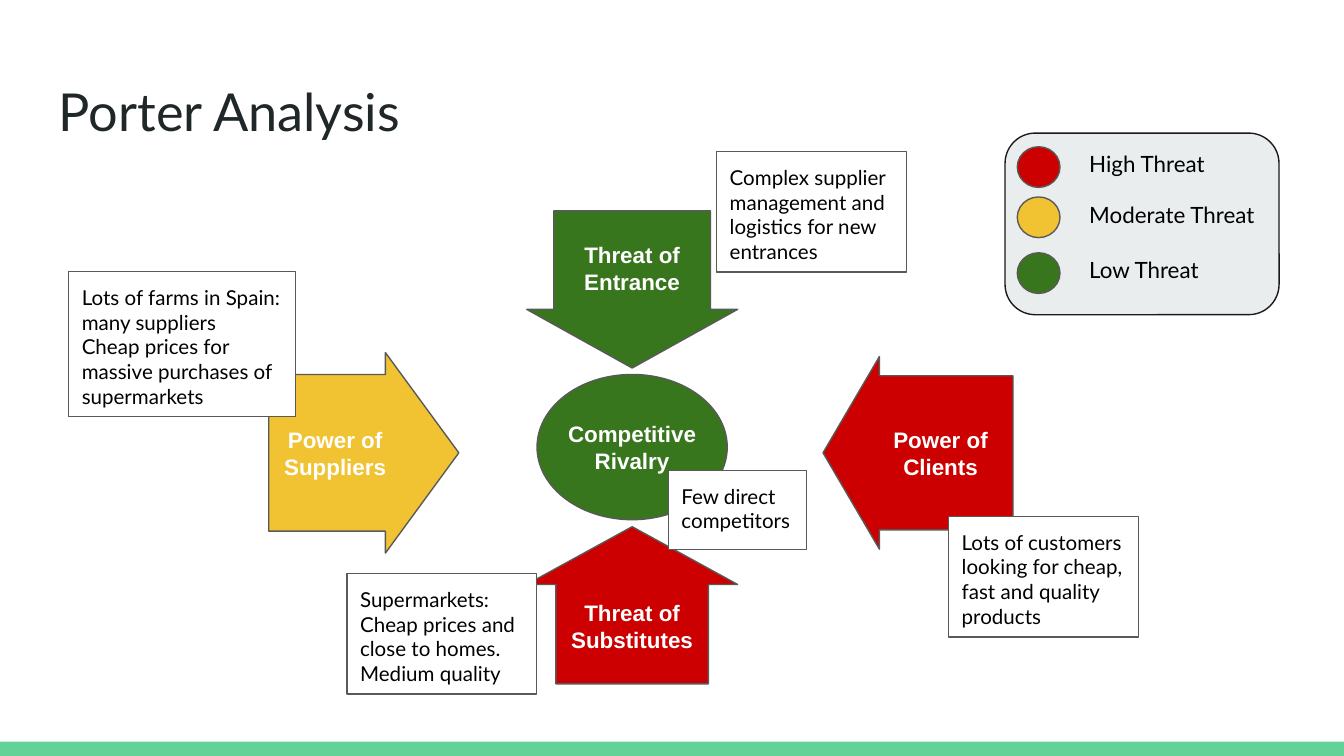
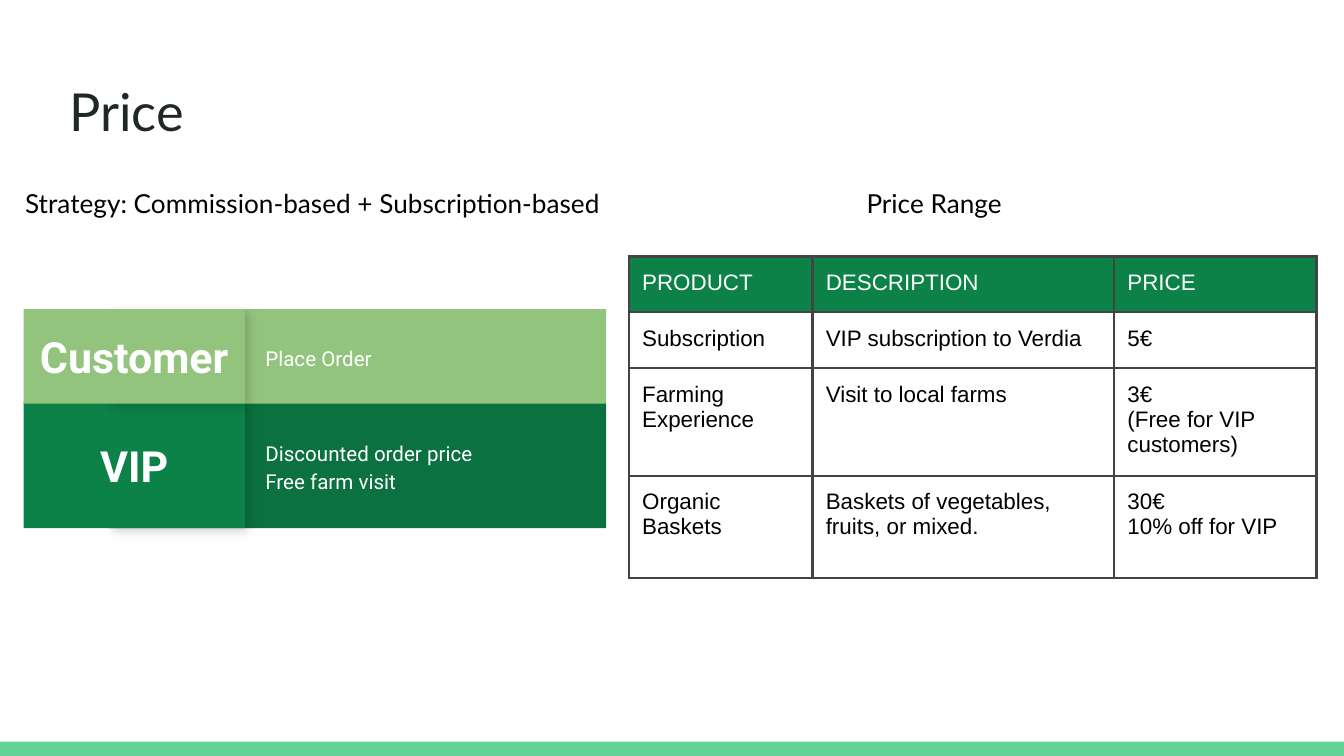
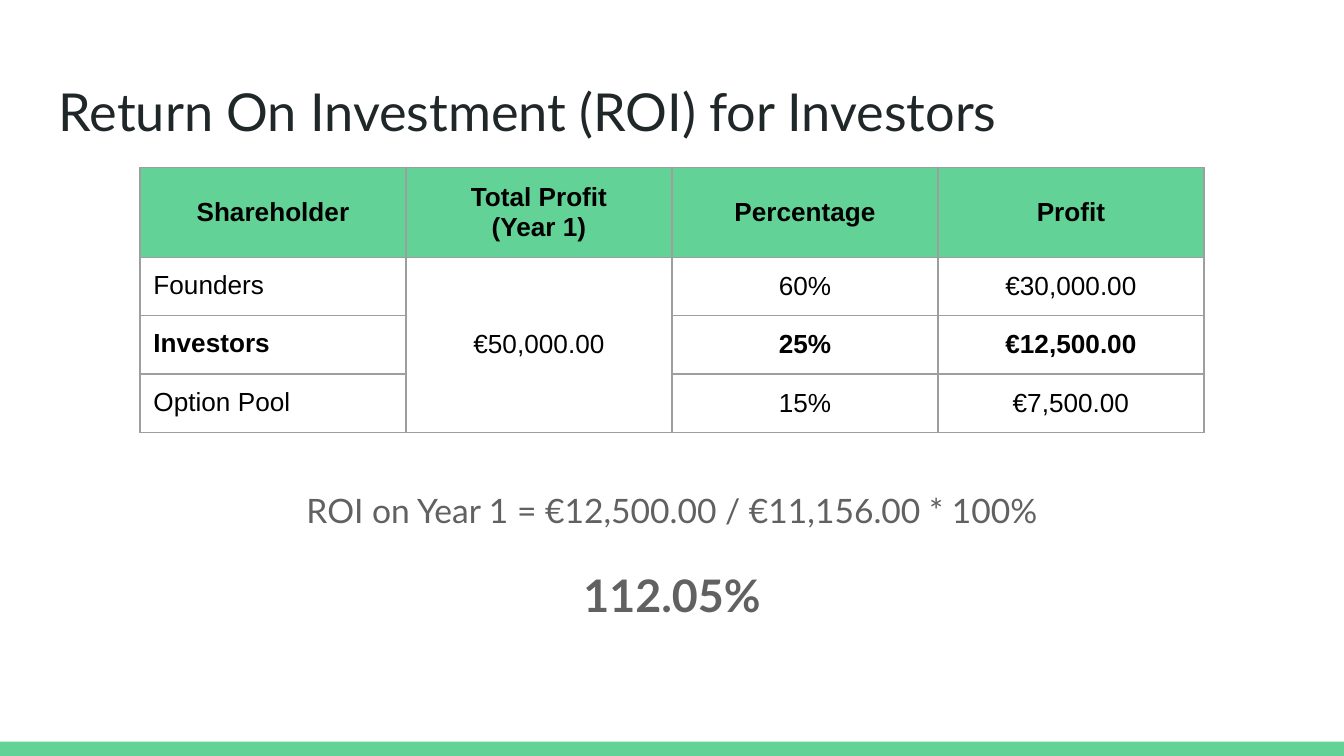
from dataclasses import dataclass

from lxml import etree
from pptx import Presentation
from pptx.dml.color import RGBColor
from pptx.enum import shapes, text
from pptx.oxml import ns
from pptx.util import Pt

KIND = shapes.MSO_SHAPE
LEFT, CENTER = text.PP_ALIGN.LEFT, text.PP_ALIGN.CENTER
TOP, MIDDLE = text.MSO_ANCHOR.TOP, text.MSO_ANCHOR.MIDDLE


@dataclass(frozen=True)
class Theme:
    width: float = 720
    height: float = 405
    inset: float = 7.2
    heading: str = "Lato"
    body: str = "Arial"
    accent: str = "Roboto"
    title_size: float = 28
    label_size: float = 12
    note_size: float = 11
    subtitle_size: float = 14
    tier_size: float = 23
    formula_size: float = 18
    result_size: float = 24
    ink: str = "202729"
    black: str = "000000"
    white: str = "FFFFFF"
    gray: str = "616161"
    outline: str = "595959"
    mint: str = "63D297"
    high: str = "CC0000"
    moderate: str = "F1C232"
    low: str = "38761D"
    panel: str = "E9EDEE"
    panel_line: str = "1A1A1A"
    green: str = "0C8148"
    deep_green: str = "0B7140"
    tab_green: str = "0B7743"
    light_green: str = "93C47D"
    price_border: str = "434343"
    profit_border: str = "9E9E9E"


THEME = Theme()

# label, shape, adjustments, fill, (left, top, width, height)
FORCES = [
    ("Competitive Rivalry", KIND.OVAL, (), THEME.low, (287.7, 200.6, 101.9, 77.8)),
    ("Threat of Entrance", KIND.DOWN_ARROW, (0.743, 0.373), THEME.low, (282.2, 113, 113, 84.2)),
    ("Threat of Substitutes", KIND.UP_ARROW, (0.723, 0.368), THEME.high, (282.2, 282.2, 113, 84.2)),
    ("Power of Suppliers", KIND.RIGHT_ARROW, (0.781, 0.386), THEME.moderate, (144, 188.9, 101.8, 107.4)),
    ("Power of Clients", KIND.LEFT_ARROW, (0.8, 0.297), THEME.high, (440.9, 191, 101.8, 103.2)),
]
NOTES = [
    (["Few direct competitors"], (358, 252, 74, 42.3)),
    (["Complex supplier management and logistics for new entrances"], (383.8, 81.2, 101.8, 64.6)),
    (["Lots of farms in Spain: many suppliers",
      "Cheap prices for massive purchases of supermarkets"], (36.7, 145.6, 121.7, 77.6)),
    (["Supermarkets:", "Cheap prices and close to homes.", "Medium quality"],
     (185.8, 307.2, 101.8, 64.6)),
    (["Lots of customers looking for cheap, fast and quality products"],
     (508.1, 276.6, 101.8, 64.6)),
]
LEGEND = [
    ("High Threat", THEME.high, 78.6),
    ("Moderate Threat", THEME.moderate, 105.5),
    ("Low Threat", THEME.low, 135.4),
]
# name, benefits, name fill, benefit fill, top, height
TIERS = [
    ("VIP", ["Discounted order price", "Free farm visit"], THEME.green, THEME.deep_green, 215.4, 67.6),
    ("Customer", ["Place Order"], THEME.light_green, THEME.light_green, 165.6, 50.6),
]
PRICES = [
    ["PRODUCT", "DESCRIPTION", "PRICE"],
    ["Subscription", "VIP subscription to Verdia", "5€"],
    ["Farming Experience", "Visit to local farms", "3€\n(Free for VIP customers)"],
    ["Organic Baskets", "Baskets of vegetables, fruits, or mixed.", "30€\n10% off for VIP"],
]
PROFITS = [
    ["Shareholder", "Total Profit\n(Year 1)", "Percentage", "Profit"],
    ["Founders", "€50,000.00", "60%", "€30,000.00"],
    ["Investors", "", "25%", "€12,500.00"],
    ["Option Pool", "", "15%", "€7,500.00"],
]
ROI = ["ROI on Year 1 = €12,500.00 / €11,156.00 * 100%", "112.05%"]


def rgb(color):
    return RGBColor.from_string(color)


def points(place):
    return [Pt(length) for length in place]


def write(frame, lines, size, color, font=THEME.heading, bold=False, align=LEFT, spacing=None):
    for index, line in enumerate(lines):
        para = frame.paragraphs[0] if index == 0 else frame.add_paragraph()
        para.text = line
        para.alignment = align
        if spacing:
            para.line_spacing = spacing
        para.font.name = font
        para.font.size = Pt(size)
        para.font.bold = bold
        para.font.color.rgb = rgb(color)


def set_frame(frame, anchor, side=THEME.inset):
    frame.word_wrap = True
    frame.vertical_anchor = anchor
    frame.margin_left = frame.margin_right = Pt(side)
    frame.margin_top = frame.margin_bottom = Pt(THEME.inset)
    return frame


def add_text(slide, place, lines, size, color, anchor=TOP, **style):
    box = slide.shapes.add_textbox(*points(place))
    write(set_frame(box.text_frame, anchor), lines, size, color, **style)
    return box


def add_block(slide, kind, place, fill, line=None):
    block = slide.shapes.add_shape(kind, *points(place))
    block.shadow.inherit = False
    block.fill.solid()
    block.fill.fore_color.rgb = rgb(fill)
    if line:
        block.line.color.rgb = rgb(line)
        block.line.width = Pt(0.75)
    else:
        block.line.fill.background()
    return block


def add_soft_shadow(block):
    effects = block._element.spPr.find(ns.qn("a:effectLst"))
    shadow = etree.SubElement(effects, ns.qn("a:outerShdw"), blurRad=str(Pt(5.6)),
                              dist=str(Pt(2.2)), dir="2700000", algn="bl", rotWithShape="0")
    color = etree.SubElement(shadow, ns.qn("a:srgbClr"), val=THEME.black)
    etree.SubElement(color, ns.qn("a:alpha"), val="17000")


def set_borders(cell, color, width):
    properties = cell._tc.get_or_add_tcPr()
    for side in ("lnL", "lnR", "lnT", "lnB"):
        line = etree.SubElement(properties, ns.qn(f"a:{side}"), w=str(Pt(width)))
        fill = etree.SubElement(line, ns.qn("a:solidFill"))
        etree.SubElement(fill, ns.qn("a:srgbClr"), val=color)


def add_grid(slide, corner, widths, heights, rows, size, header, border, bold_rows=(), centered=False):
    """Add a table; header is (fill, ink), border is (colour, width)."""
    place = (*corner, sum(widths), sum(heights))
    table = slide.shapes.add_table(len(rows), len(widths), *points(place)).table
    table.first_row = table.horz_banding = False
    for column, width in zip(table.columns, widths):
        column.width = Pt(width)
    for r, (row, height) in enumerate(zip(rows, heights)):
        table.rows[r].height = Pt(height)
        for c, content in enumerate(row):
            cell = table.cell(r, c)
            set_borders(cell, *border)
            if r == 0:
                cell.fill.solid()
                cell.fill.fore_color.rgb = rgb(header[0])
            else:
                cell.fill.background()
            middle = centered and (r == 0 or c > 0)
            cell.vertical_anchor = MIDDLE if middle else TOP
            cell.margin_left = cell.margin_right = Pt(THEME.inset)
            cell.margin_top = cell.margin_bottom = Pt(THEME.inset)
            if content:
                write(cell.text_frame, content.split("\n"), size,
                      header[1] if r == 0 else THEME.black, font=THEME.body,
                      bold=r in bold_rows, align=CENTER if middle else LEFT)
    return table


def add_slide(deck, title, left=24.5):
    slide = deck.slides.add_slide(deck.slide_layouts[6])
    band = 7.7
    add_block(slide, KIND.RECTANGLE, (0, THEME.height - band, THEME.width, band), THEME.mint)
    add_text(slide, (left, 35.3, 671, 45.4), [title], THEME.title_size, THEME.ink)
    return slide


def build_porter(deck):
    slide = add_slide(deck, "Porter Analysis")
    for label, kind, adjustments, fill, place in FORCES:
        force = add_block(slide, kind, place, fill, THEME.outline)
        for index, value in enumerate(adjustments):
            force.adjustments[index] = value
        frame = set_frame(force.text_frame, MIDDLE, 0 if kind == KIND.OVAL else THEME.inset)
        write(frame, [label], THEME.label_size, THEME.white, font=THEME.body, bold=True, align=CENTER)
    for lines, place in NOTES:
        note = add_block(slide, KIND.RECTANGLE, place, THEME.white, THEME.outline)
        write(set_frame(note.text_frame, TOP), lines, THEME.note_size, THEME.black)
    add_block(slide, KIND.ROUNDED_RECTANGLE, (538.4, 71.3, 146.8, 97.3), THEME.panel, THEME.panel_line)
    for label, color, top in LEGEND:
        add_block(slide, KIND.OVAL, (545, top, 22.9, 21.8), color, THEME.outline)
        add_text(slide, (576.4, top - 5.2, 106, 29.5), [label], THEME.label_size, THEME.black)


def build_price(deck):
    slide = add_slide(deck, "Price", left=30.2)
    add_text(slide, (6.4, 90.7, 368, 39.6), ["Strategy: Commission-based + Subscription-based"],
             THEME.subtitle_size, THEME.black, spacing=1.15)
    add_text(slide, (337, 90.7, 326.9, 36), ["Price Range"],
             THEME.subtitle_size, THEME.black, align=CENTER, spacing=1.15)
    left, split, right, tab = 12.6, 131.3, 324.8, 72.4
    for name, benefits, name_fill, benefit_fill, top, height in TIERS:
        add_block(slide, KIND.RECTANGLE, (split, top, right - split, height), benefit_fill)
        add_text(slide, (split + 3.8, top, right - split - 3.8, height), benefits,
                 THEME.note_size, THEME.white, anchor=MIDDLE, font=THEME.accent, spacing=1.15)
        add_soft_shadow(add_block(slide, KIND.RECTANGLE, (split - tab, top, tab, height), THEME.tab_green))
        tier = add_block(slide, KIND.RECTANGLE, (left, top, split - left, height), name_fill)
        write(set_frame(tier.text_frame, MIDDLE), [name], THEME.tier_size, THEME.white,
              font=THEME.accent, bold=True, align=CENTER)
    add_grid(slide, (336.8, 137.3), (98.4, 161.6, 108.4), (30, 30, 54.8, 54.8), PRICES,
             THEME.label_size, (THEME.green, THEME.white), (THEME.price_border, 1.5))


def build_roi(deck):
    slide = add_slide(deck, "Return On Investment (ROI) for Investors")
    box = add_text(slide, (24.5, 252, 671, 107.3), ROI, THEME.formula_size, THEME.gray,
                   align=CENTER, spacing=1.15)
    result = box.text_frame.paragraphs[1]
    result.space_before = Pt(16)
    result.font.size = Pt(THEME.result_size)
    result.font.bold = True
    table = add_grid(slide, (75, 89.8), [142.5] * 4, (46, 30, 30, 30), PROFITS,
                     THEME.subtitle_size, (THEME.mint, THEME.black), (THEME.profit_border, 0.75),
                     bold_rows=(0, 2), centered=True)
    table.cell(1, 1).merge(table.cell(3, 1))


def main():
    deck = Presentation()
    deck.slide_width, deck.slide_height = points((THEME.width, THEME.height))
    for build in (build_porter, build_price, build_roi):
        build(deck)
    deck.save("out.pptx")


if __name__ == "__main__":
    main()
